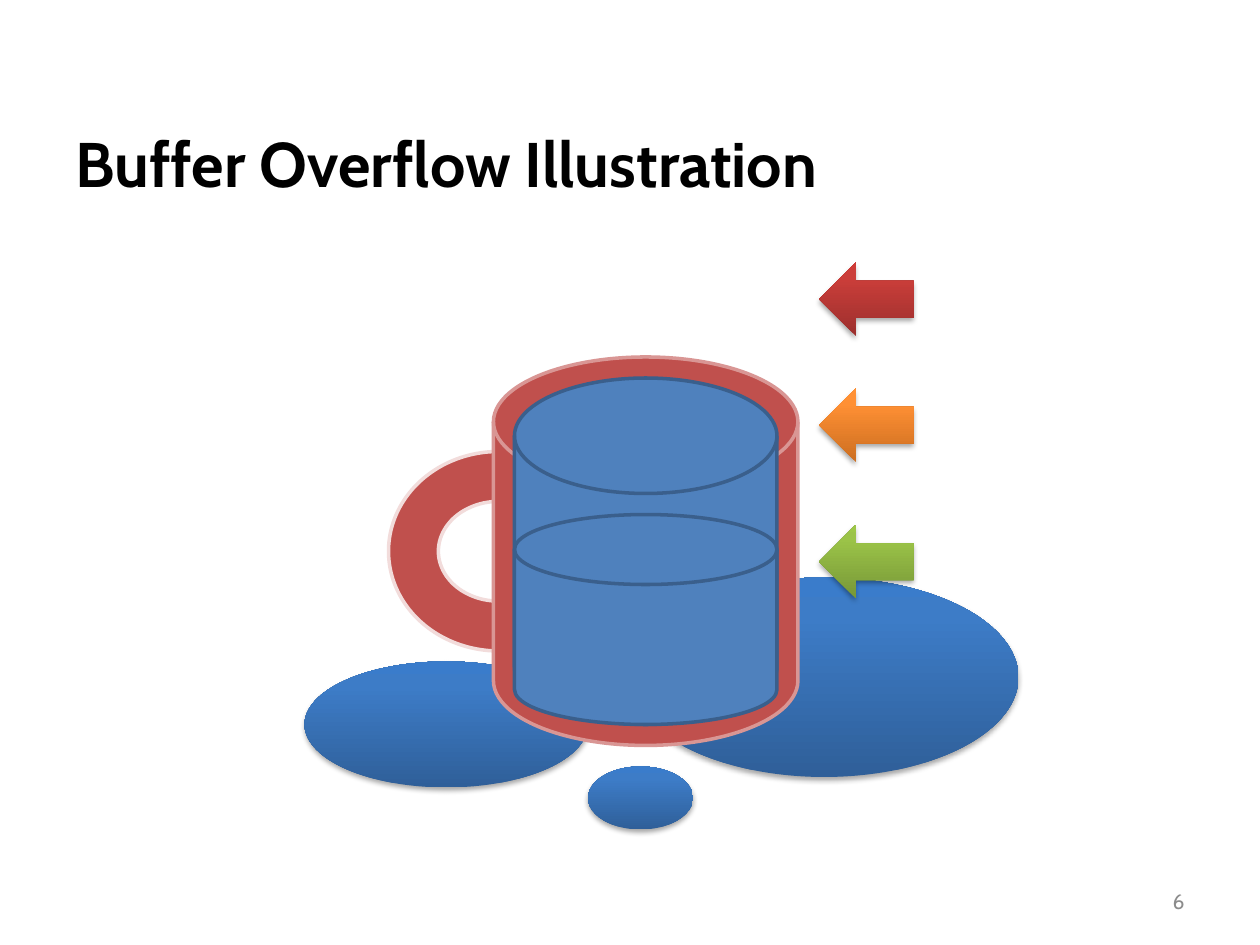
from lxml.etree import SubElement
from pptx import Presentation
from pptx.dml.color import RGBColor
from pptx.enum.shapes import MSO_SHAPE
from pptx.enum.text import MSO_ANCHOR, PP_ALIGN
from pptx.oxml.ns import qn
from pptx.util import Emu, Pt

PX = 7620
FONT = "Cabin"
BLACK = RGBColor(0x00, 0x00, 0x00)
GREY = RGBColor(0x8C, 0x8C, 0x8C)
MUG = RGBColor(0xC0, 0x50, 0x4D)
MUG_EDGE = RGBColor(0xD9, 0x96, 0x94)
HANDLE_EDGE = RGBColor(0xF2, 0xDC, 0xDB)
LIQUID = RGBColor(0x4F, 0x81, 0xBD)
LIQUID_EDGE = RGBColor(0x3A, 0x5F, 0x8C)
BLUE = (RGBColor(0x2F, 0x5F, 0x99), RGBColor(0x3D, 0x7C, 0xC7), RGBColor(0x3A, 0x7C, 0xCB))
GREEN = (RGBColor(0x77, 0x97, 0x37), RGBColor(0x9B, 0xC3, 0x48), RGBColor(0x9D, 0xC7, 0x46))
ORANGE = (RGBColor(0xCC, 0x6E, 0x20), RGBColor(0xFF, 0x90, 0x34), RGBColor(0xFF, 0x91, 0x36))
RED = (RGBColor(0x9C, 0x2F, 0x2D), RGBColor(0xCB, 0x3E, 0x3A), RGBColor(0xCE, 0x3B, 0x37))
STOPS = (0, 80, 100)


def px(*lengths):
    return [Emu(length * PX) for length in lengths]


def add_text(slide, text, box, size, color, bold=False, align=PP_ALIGN.LEFT):
    frame = slide.shapes.add_textbox(*px(*box)).text_frame
    frame.word_wrap = True
    frame.vertical_anchor = MSO_ANCHOR.MIDDLE
    paragraph = frame.paragraphs[0]
    paragraph.alignment = align
    run = paragraph.add_run()
    run.text = text
    run.font.name = FONT
    run.font.size = Pt(size)
    run.font.bold = bold
    run.font.color.rgb = color


def add_outlined(slide, kind, box, fill, edge, rotation=0):
    shape = slide.shapes.add_shape(kind, *px(*box))
    shape.shadow.inherit = False
    shape.rotation = rotation
    shape.fill.solid()
    shape.fill.fore_color.rgb = fill
    shape.line.color.rgb = edge
    shape.line.width = Pt(2)


def add_color(parent, color):
    return SubElement(parent, qn("a:srgbClr"), val=str(color))


def add_shaded(slide, kind, box, colors):
    shape = slide.shapes.add_shape(kind, *px(*box))
    shape.line.fill.background()
    shape.fill.gradient()
    shape.fill.gradient_angle = 90
    properties = shape._element.spPr
    stop_list = properties.find(qn("a:gradFill")).find(qn("a:gsLst"))
    for stop in list(stop_list):
        stop_list.remove(stop)
    for position, color in zip(STOPS, colors):
        add_color(SubElement(stop_list, qn("a:gs"), pos=str(position * 1000)), color)
    shape.shadow.inherit = False
    shadow = SubElement(
        properties.find(qn("a:effectLst")), qn("a:outerShdw"),
        blurRad=str(Pt(3.1)), dist=str(Pt(1.8)), dir="5400000", rotWithShape="0",
    )
    SubElement(add_color(shadow, BLACK), qn("a:alpha"), val="35000")


def add_puddles(slide):
    for box in ((290, 630, 270, 120), (600, 550, 370, 190), (560, 730, 100, 60)):
        add_shaded(slide, MSO_SHAPE.OVAL, box, BLUE)


def add_mug(slide):
    disk = MSO_SHAPE.FLOWCHART_MAGNETIC_DISK
    add_outlined(slide, disk, (470, 340, 290, 370), MUG, MUG_EDGE)
    for top in (360, 490):
        add_outlined(slide, disk, (490, top, 250, 690 - top), LIQUID, LIQUID_EDGE)


def add_level_arrows(slide):
    for top, colors in ((250, RED), (370, ORANGE), (500, GREEN)):
        add_shaded(slide, MSO_SHAPE.LEFT_ARROW, (780, top, 90, 70), colors)


def main():
    presentation = Presentation()
    presentation.slide_width, presentation.slide_height = px(1200, 900)
    slide = presentation.slides.add_slide(presentation.slide_layouts[6])
    add_outlined(slide, MSO_SHAPE.BLOCK_ARC, (380, 420, 190, 210), MUG, HANDLE_EDGE, rotation=270)
    add_text(slide, "Buffer Overflow Illustration", (60, 110, 1080, 90), 36, BLACK, bold=True)
    add_text(slide, "6", (860, 834, 280, 48), 12, GREY, align=PP_ALIGN.RIGHT)
    add_puddles(slide)
    add_mug(slide)
    add_level_arrows(slide)
    presentation.save("out.pptx")


if __name__ == "__main__":
    main()
